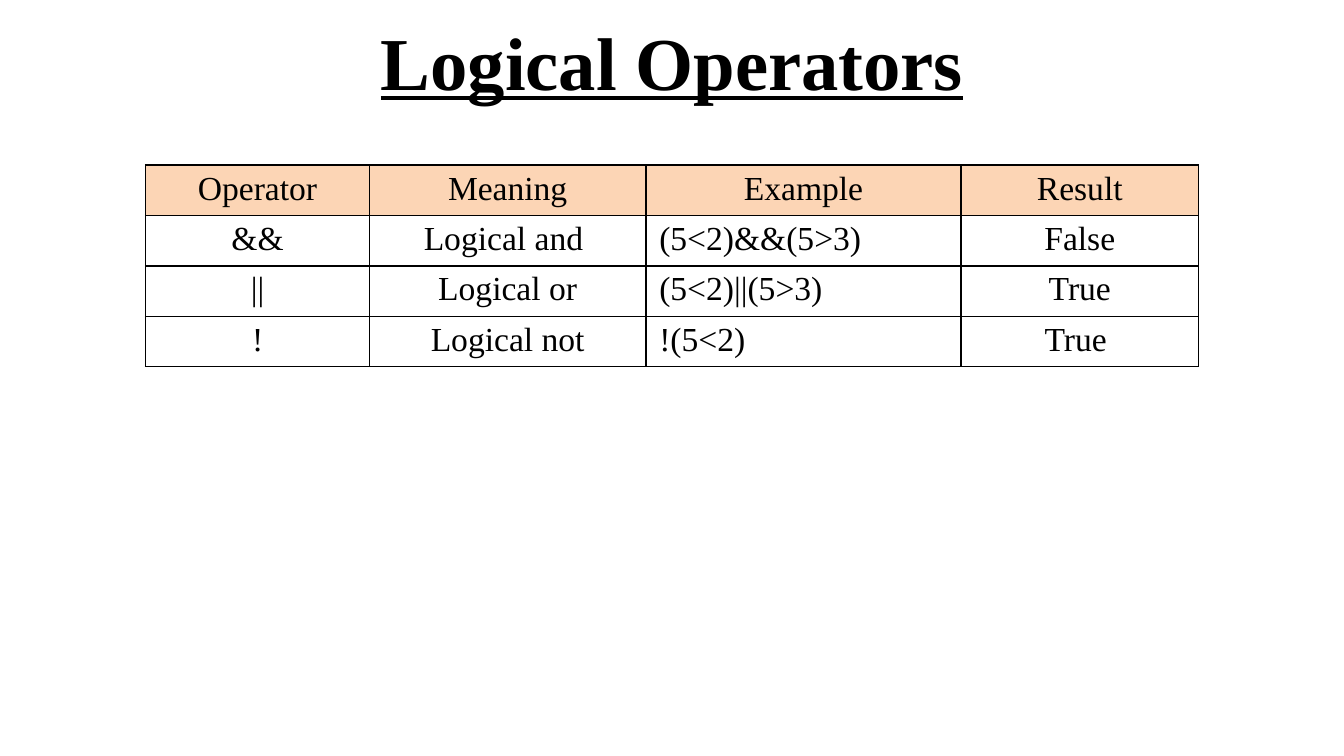
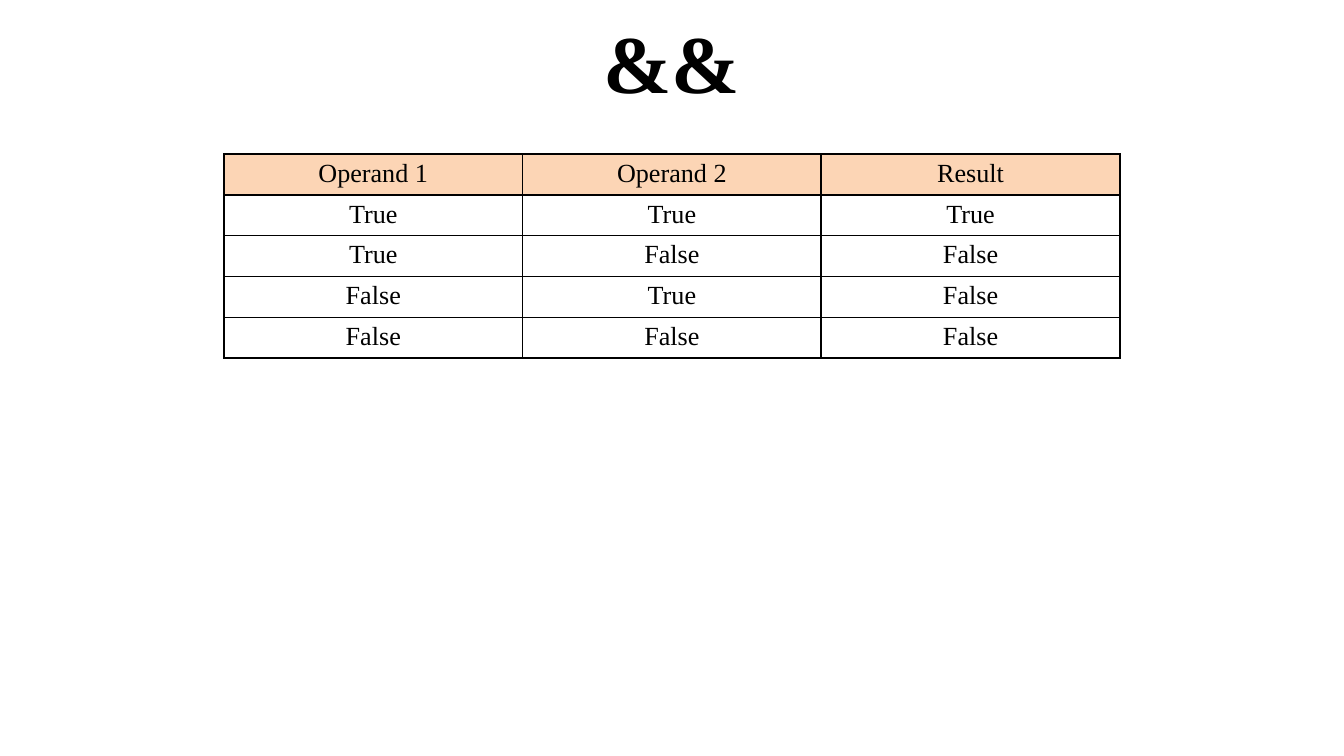
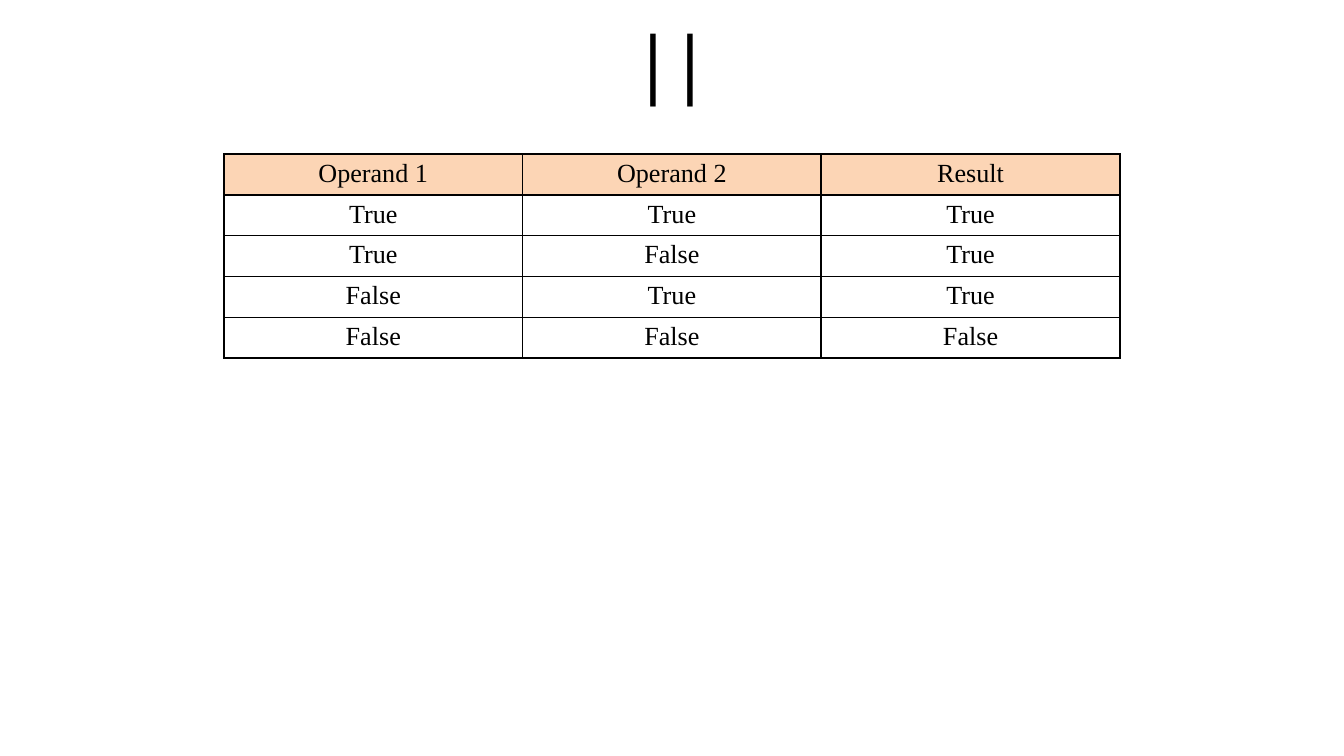
from itertools import product

from lxml import etree
from pptx import Presentation
from pptx.dml.color import RGBColor
from pptx.enum import text as t
from pptx.oxml import ns
from pptx.util import Pt

COLORS = {"ink": "000000", "header": "FCD5B5", "paper": "FFFFFF"}
SERIF = "Times New Roman"
SLIDE_W, SLIDE_H = 720, 405
TITLE_BOX = (36, -1.5, 648, 67.5)
TITLE_ONLY = 5

OPERATORS = [
    ("Operator", "Meaning", "Example", "Result"),
    ("&&", "Logical and ", "(5<2)&&(5>3)", "False"),
    ("||", "Logical or", "(5<2)||(5>3)", "True"),
    ("!", "Logical not", "!(5<2)", "True "),
]
OPERATOR_COLUMNS = (120, 148, 169, 127)
EXAMPLE_COLUMN = 2


def color(name):
    return RGBColor.from_string(COLORS[name])


def style_text(frame, size, font=SERIF, align=t.PP_ALIGN.CENTER, bold=False, underline=False):
    paragraph = frame.paragraphs[0]
    paragraph.alignment = align
    for run in paragraph.runs:
        run.font.name = font
        run.font.size = Pt(size)
        run.font.bold = bold
        run.font.underline = underline
        run.font.color.rgb = color("ink")


def add_titled_slide(deck, heading, size=44, **style):
    slide = deck.slides.add_slide(deck.slide_layouts[TITLE_ONLY])
    title = slide.shapes.title
    title.left, title.top, title.width, title.height = map(Pt, TITLE_BOX)
    frame = title.text_frame
    frame.text = heading
    frame.auto_size = t.MSO_AUTO_SIZE.NONE
    frame.vertical_anchor = t.MSO_ANCHOR.MIDDLE
    style_text(frame, size, **style)
    return slide


def add_borders(cell):
    """Draw a 1 pt line on all four sides; lines must precede the cell's fill."""
    properties = cell._tc.get_or_add_tcPr()
    for index, side in enumerate(("lnL", "lnR", "lnT", "lnB")):
        line = etree.Element(ns.qn(f"a:{side}"), w=str(Pt(1)))
        fill = etree.SubElement(line, ns.qn("a:solidFill"))
        etree.SubElement(fill, ns.qn("a:srgbClr"), val=COLORS["ink"])
        properties.insert(index, line)


def add_grid(slide, rows, columns, top, row_height, size, left_column=None):
    """Centre a bordered table on the slide; left_column's body is left-aligned."""
    width = sum(columns)
    grid = slide.shapes.add_table(
        len(rows), len(columns), Pt((SLIDE_W - width) / 2), Pt(top),
        Pt(width), Pt(row_height * len(rows))).table
    grid.first_row = grid.horz_banding = False
    for column, column_width in zip(grid.columns, columns):
        column.width = Pt(column_width)
    for r, values in enumerate(rows):
        grid.rows[r].height = Pt(row_height)
        for c, value in enumerate(values):
            cell = grid.cell(r, c)
            cell.text_frame.text = value
            cell.margin_left = cell.margin_right = Pt(7.2)
            cell.margin_top = cell.margin_bottom = Pt(2.7)
            cell.fill.solid()
            cell.fill.fore_color.rgb = color("paper" if r else "header")
            add_borders(cell)
            at_left = r > 0 and c == left_column
            style_text(cell.text_frame, size,
                       align=t.PP_ALIGN.LEFT if at_left else t.PP_ALIGN.CENTER)


def add_operator_slide(deck):
    slide = add_titled_slide(deck, "Logical Operators", size=40, bold=True, underline=True)
    add_grid(slide, OPERATORS, OPERATOR_COLUMNS, top=88.5, row_height=27, size=18,
             left_column=EXAMPLE_COLUMN)


def add_truth_slide(deck, operator, combine, **style):
    """Show the truth table of an operator whose result is combine(operands)."""
    slide = add_titled_slide(deck, operator, **style)
    rows = [("Operand 1", "Operand 2", "Result")]
    for operands in product((True, False), repeat=2):
        rows.append([str(value) for value in (*operands, combine(operands))])
    add_grid(slide, rows, (160, 160, 160), top=82.5, row_height=21.9, size=14)


def main():
    deck = Presentation()
    deck.slide_width, deck.slide_height = Pt(SLIDE_W), Pt(SLIDE_H)
    add_operator_slide(deck)
    add_truth_slide(deck, "&&", all, bold=True)
    add_truth_slide(deck, "||", any, font="Calibri")
    deck.save("out.pptx")


if __name__ == "__main__":
    main()
